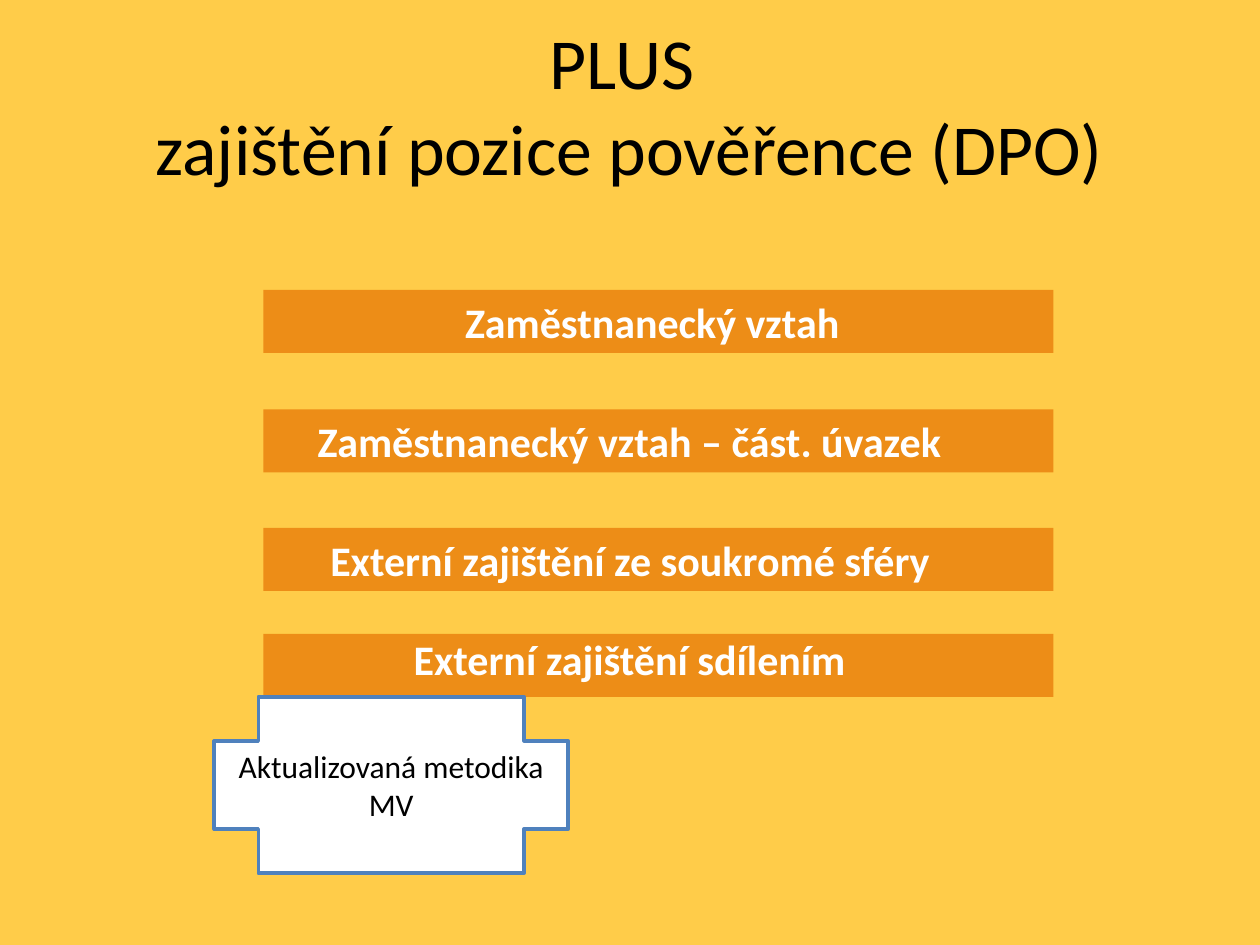
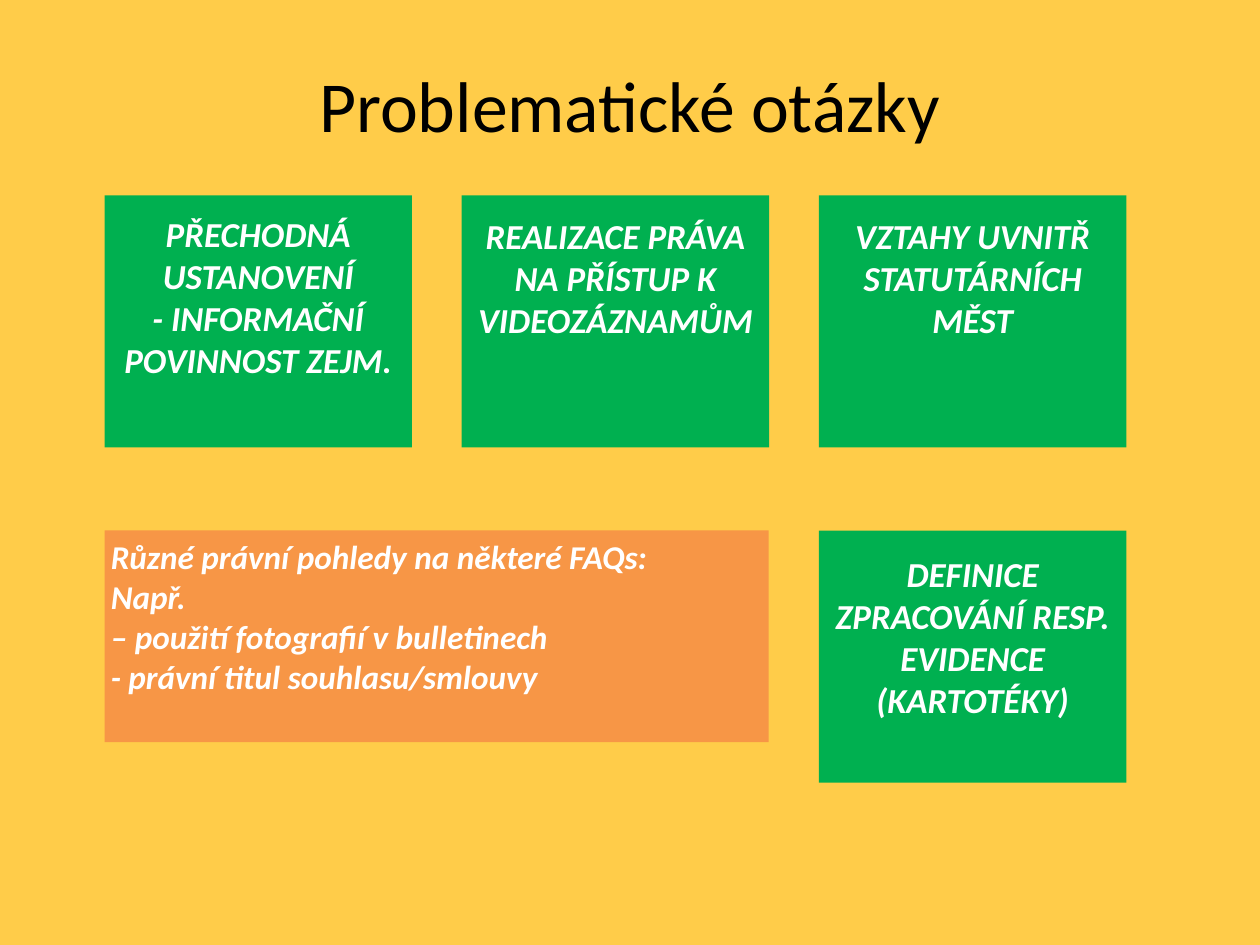
import pptx
import pptx.util
import pptx.dml.color
import pptx.enum.shapes
import pptx.enum.text

Kind = pptx.enum.shapes.MSO_SHAPE
Align = pptx.enum.text.PP_ALIGN
Anchor = pptx.enum.text.MSO_ANCHOR
WIDE, HIGH = pptx.util.Inches(10), pptx.util.Inches(7.5)

SAND, AMBER, GREEN, PEACH = "FFCC49", "ED8D17", "00B050", "F79646"
WHITE, BLACK, BLUE = "FFFFFF", "000000", "4F81BD"
HEAD = {"size": pptx.util.Pt(41)}
BAR = {"size": pptx.util.Pt(24), "bold": True}
CARD = {"size": pptx.util.Pt(20), "bold": True, "italic": True}
NOTE = {**CARD, "size": pptx.util.Pt(19)}
BADGE = {"size": pptx.util.Pt(18)}


def tint(code):
    return pptx.dml.color.RGBColor.from_string(code)


def area(left, top, width, height):
    """Turn percent of the slide's width and height into lengths."""
    return [round(share * side / 100) for share, side in
            zip((left, top, width, height), (WIDE, HIGH, WIDE, HIGH))]


def write(shape, lines, style, color=WHITE, align=Align.CENTER, anchor=Anchor.TOP):
    frame = shape.text_frame
    inset = pptx.util.Inches(0.05)
    layout = {"word_wrap": True, "auto_size": pptx.enum.text.MSO_AUTO_SIZE.NONE,
              "vertical_anchor": anchor, "margin_left": inset, "margin_right": inset,
              "margin_top": inset, "margin_bottom": inset}
    for name, value in layout.items():
        setattr(frame, name, value)
    frame.text = "\n".join(lines)
    for para in frame.paragraphs:
        para.alignment = align
        font = para.runs[0].font
        for name, value in {"name": "Calibri", **style}.items():
            setattr(font, name, value)
        font.color.rgb = tint(color)


def start(deck, lines, top, height):
    """Add a slide with its title."""
    slide = deck.slides.add_slide(deck.slide_layouts[5])
    title = slide.shapes.title
    title.left, title.top, title.width, title.height = area(5, top, 90, height)
    write(title, lines, HEAD, BLACK, anchor=Anchor.MIDDLE)
    return slide


def block(slide, spot, fill, kind=Kind.RECTANGLE):
    shape = slide.shapes.add_shape(kind, *area(*spot))
    shape.shadow.inherit = False
    shape.fill.solid()
    shape.fill.fore_color.rgb = tint(fill)
    shape.line.fill.background()
    return shape


def label(slide, spot, lines, style):
    write(slide.shapes.add_textbox(*area(*spot)), lines, style)


def bar(slide, top, text, left, width, lift=0):
    block(slide, (20.9, top, 62.7, 6.67), AMBER)
    label(slide, (left, top - lift, width, 6.67), [text], BAR)


def card(slide, col, row, drop, lines):
    """Draw a card in the grid, its text starting drop below the card's top."""
    left, top = 8.3 + 28.35 * col, 20.67 + 35.47 * row
    block(slide, (left, top, 24.4, 26.67), GREEN)
    label(slide, (left, top + drop, 24.4, 19), lines, CARD)


def role(deck):
    slide = start(deck, ["PLUS ", "zajištění pozice pověřence (DPO)"], 1.2, 19.6)
    bar(slide, 30.67, "Zaměstnanecký vztah ", 36.4, 31.5)
    bar(slide, 43.33, "Zaměstnanecký vztah – část. úvazek", 24.7, 50.5)
    bar(slide, 55.87, "Externí zajištění ze soukromé sféry", 24.9, 50.2)
    bar(slide, 67.07, "Externí zajištění sdílením ", 25.1, 50.5, lift=0.67)
    badge = block(slide, (17, 73.73, 28.1, 18.67), WHITE, Kind.CROSS)
    badge.adjustments[0] = 0.25
    badge.line.color.rgb = tint(BLUE)
    badge.line.width = pptx.util.Pt(2)
    write(badge, ["Aktualizovaná metodika MV"], BADGE, BLACK, anchor=Anchor.MIDDLE)


def issues(deck):
    slide = start(deck, ["Problematické otázky"], 5.73, 10.4)
    card(slide, 0, 0, 1.2, ["PŘECHODNÁ USTANOVENÍ", "- INFORMAČNÍ POVINNOST ZEJM."])
    card(slide, 1, 0, 1.4, ["REALIZACE PRÁVA NA PŘÍSTUP K VIDEOZÁZNAMŮM"])
    card(slide, 2, 0, 1.4, ["VZTAHY UVNITŘ STATUTÁRNÍCH MĚST"])
    card(slide, 2, 1, 1.7, ["DEFINICE ZPRACOVÁNÍ RESP. EVIDENCE (KARTOTÉKY)"])
    note = block(slide, (8.3, 56.13, 52.7, 22.4), PEACH)
    write(note, ["Různé právní pohledy na některé FAQs:", "Např.",
                 "– použití fotografií v bulletinech",
                 "- právní titul souhlasu/smlouvy"], NOTE, align=Align.LEFT)


def main():
    deck = pptx.Presentation()
    deck.slide_width, deck.slide_height = WIDE, HIGH
    back = deck.slide_master.background.fill
    back.solid()
    back.fore_color.rgb = tint(SAND)
    role(deck)
    issues(deck)
    deck.save("out.pptx")


if __name__ == "__main__":
    main()
